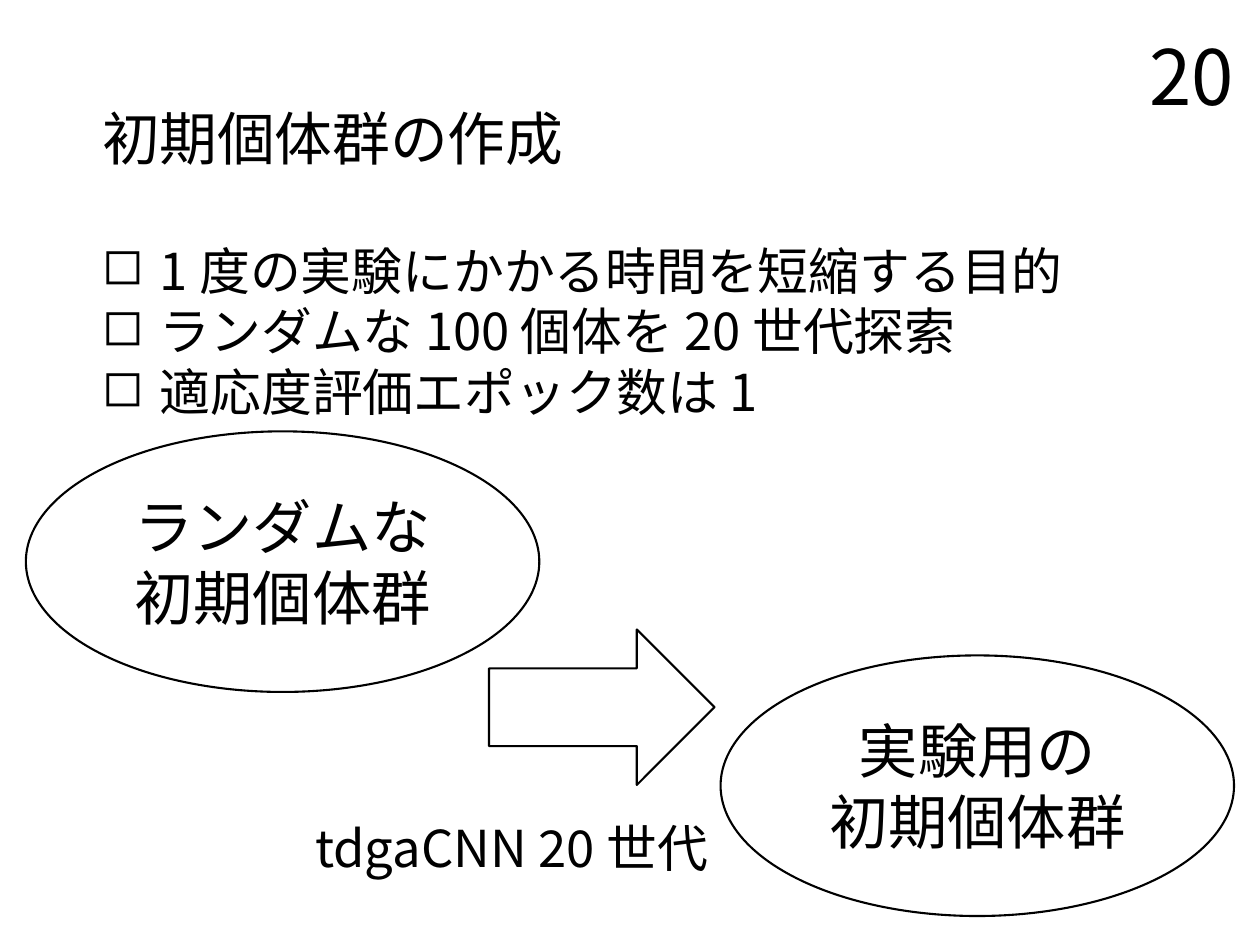
from lxml import etree
from pptx import Presentation
from pptx.dml.color import RGBColor
from pptx.enum.shapes import MSO_SHAPE
from pptx.enum.text import MSO_ANCHOR, MSO_AUTO_SIZE, PP_ALIGN
from pptx.oxml.ns import qn
from pptx.util import Inches, Pt

ELLIPSE, RIGHT_ARROW = MSO_SHAPE.OVAL, MSO_SHAPE.RIGHT_ARROW
LEFT, CENTER, RIGHT = PP_ALIGN.LEFT, PP_ALIGN.CENTER, PP_ALIGN.RIGHT
TOP, MIDDLE = MSO_ANCHOR.TOP, MSO_ANCHOR.MIDDLE
FIXED, GROW = MSO_AUTO_SIZE.NONE, MSO_AUTO_SIZE.SHAPE_TO_FIT_TEXT
COLORS = {"ink": "000000", "paper": "FFFFFF"}
FONT = "Noto Sans CJK JP"
HANGING = 0.38
POPULATION_SIZE = (3.37, 1.71)


def color(name):
    """Return the named colour."""
    return RGBColor.from_string(COLORS[name])


def write(frame, lines, size, align=LEFT, spacing=None, bullet=None, **frame_format):
    """Fill a text frame with one paragraph per line."""
    for attribute, value in frame_format.items():
        setattr(frame, attribute, value)
    frame.text = "\n".join(lines)
    for paragraph in frame.paragraphs:
        paragraph.alignment = align
        if spacing:
            paragraph.line_spacing = spacing
        if bullet:
            add_bullet(paragraph, bullet)
        for run in paragraph.runs:
            run.font.size = Pt(size)
            run.font.color.rgb = color("ink")
            run.font.name = FONT
            east_asian = etree.SubElement(run.font._element, qn("a:ea"))
            east_asian.set("typeface", FONT)


def add_bullet(paragraph, mark):
    """Give a paragraph a bullet with a hanging indent."""
    properties = paragraph._p.get_or_add_pPr()
    properties.set("marL", str(Inches(HANGING)))
    properties.set("indent", str(-Inches(HANGING)))
    etree.SubElement(properties, qn("a:buChar")).set("char", mark)


def add_title(slide, heading):
    """Place and format the slide title."""
    title = slide.shapes.title
    place = {"left": 0.57, "top": 0.33, "width": 7.13, "height": 1.2}
    for attribute, value in place.items():
        setattr(title, attribute, Inches(value))
    write(title.text_frame, [heading], 27.3, spacing=0.9,
          vertical_anchor=MIDDLE, auto_size=FIXED, word_wrap=True)


def add_text(slide, box, lines, size, **text_format):
    """Add a text box."""
    textbox = slide.shapes.add_textbox(*map(Inches, box))
    write(textbox.text_frame, lines, size, **text_format)


def add_outlined(slide, kind, box):
    """Add a white shape with a thin black outline."""
    shape = slide.shapes.add_shape(kind, *map(Inches, box))
    shape.shadow.inherit = False
    shape.fill.solid()
    shape.fill.fore_color.rgb = color("paper")
    shape.line.color.rgb = color("ink")
    shape.line.width = Pt(1)
    return shape


def add_population(slide, left, top, lines):
    """Add an ellipse that names a population."""
    population = add_outlined(slide, ELLIPSE, (left, top, *POPULATION_SIZE))
    write(population.text_frame, lines, 28, align=CENTER, vertical_anchor=MIDDLE)


def main():
    """Build the slide and save it."""
    deck = Presentation()
    deck.slide_width, deck.slide_height = Inches(8.27), Inches(6.2)
    slide = deck.slides.add_slide(deck.slide_layouts.get_by_name("Title Only"))
    add_title(slide, "初期個体群の作成")
    add_text(slide, (6.34, 0.33, 1.86, 0.33), ["20"], 36, align=RIGHT,
             vertical_anchor=MIDDLE, word_wrap=True, auto_size=FIXED)
    add_text(slide, (0.57, 1.52, 6.59, 1.31),
             ["1 度の実験にかかる時間を短縮する目的",
              "ランダムな 100 個体を 20 世代探索",
              "適応度評価エポック数は 1"],
             24, bullet="◻", vertical_anchor=TOP, word_wrap=False, auto_size=GROW)
    add_population(slide, 0.17, 2.83, ["ランダムな", "初期個体群"])
    add_outlined(slide, RIGHT_ARROW, (3.21, 4.13, 1.48, 1.02))
    add_population(slide, 4.73, 4.3, ["実験用の", "初期個体群"])
    add_text(slide, (1.97, 5.31, 2.86, 0.5), ["tdgaCNN 20 世代"], 24,
             vertical_anchor=TOP, word_wrap=False, auto_size=GROW)
    deck.save("out.pptx")


if __name__ == "__main__":
    main()
